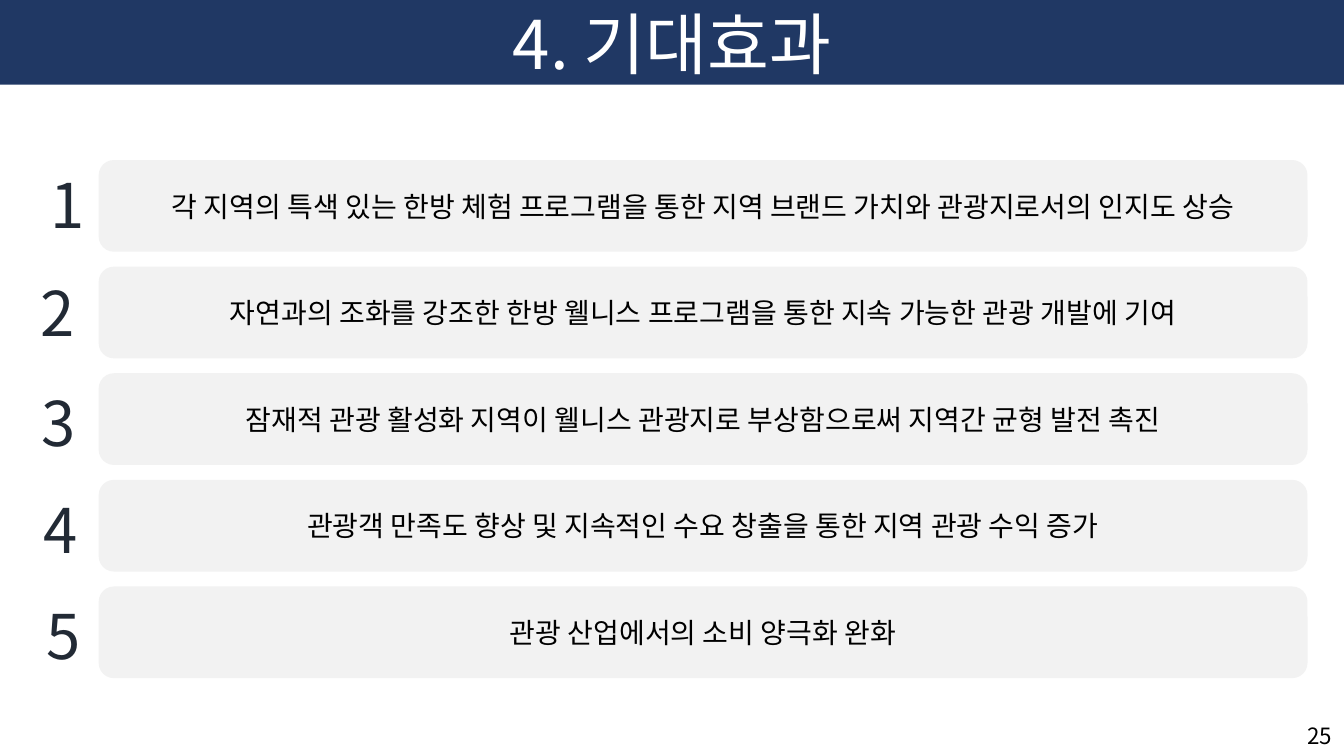
from dataclasses import dataclass

from lxml.etree import SubElement
from pptx import Presentation
from pptx.dml.color import RGBColor
from pptx.enum.shapes import MSO_SHAPE as Shape
from pptx.enum.text import MSO_ANCHOR as Anchor
from pptx.enum.text import MSO_AUTO_SIZE as Fit
from pptx.enum.text import PP_ALIGN as Align
from pptx.oxml.ns import qn
from pptx.shapes.autoshape import Shape as Auto
from pptx.slide import Slide
from pptx.util import Pt

NAVY = RGBColor(0x20, 0x38, 0x64)
SLATE = RGBColor(0x22, 0x2A, 0x35)
GREY = RGBColor(0xF2, 0xF2, 0xF2)
WHITE = RGBColor(0xFF, 0xFF, 0xFF)
BLACK = RGBColor(0, 0, 0)
FONT = "Noto Sans CJK KR"

WIDE, HIGH = 960, 540
TOP, PITCH = 114.3, 76.15
BAR_LEFT, BAR_WIDE, BAR_HIGH = 70.5, 863.5, 65.5


@dataclass(frozen=True)
class Box:
    left: float
    top: float
    width: float
    height: float

    def points(self) -> tuple[Pt, Pt, Pt, Pt]:
        return Pt(self.left), Pt(self.top), Pt(self.width), Pt(self.height)


@dataclass(frozen=True)
class Style:
    size: float
    color: RGBColor
    align: Align = Align.LEFT


@dataclass(frozen=True)
class Effect:
    text: str
    left: float  # place of the numeral
    drop: float  # numeral top below the bar top
    width: float = 41


TITLE = Style(48, WHITE, Align.CENTER)
BODY = Style(20, BLACK, Align.CENTER)
DIGIT = Style(44, SLATE)
PAGE = Style(16, BLACK)

EFFECTS = [
    Effect("각 지역의 특색 있는 한방 체험 프로그램을 통한 지역 브랜드 가치와 관광지로서의 인지도 상승",
           28.8, 1.6, 28.8),
    Effect("자연과의 조화를 강조한 한방 웰니스 프로그램을 통한 지속 가능한 관광 개발에 기여", 21.6, 2.5),
    Effect("잠재적 관광 활성화 지역이 웰니스 관광지로 부상함으로써 지역간 균형 발전 촉진", 22.3, 4.8),
    Effect("관광객 만족도 향상 및 지속적인 수요 창출을 통한 지역 관광 수익 증가", 23.8, 5),
    Effect("관광 산업에서의 소비 양극화 완화", 25.9, 4.5),
]


def write(shape: Auto, text: str, style: Style) -> None:
    para = shape.text_frame.paragraphs[0]
    para.alignment = style.align
    run = para.add_run()
    run.text = text
    looks = {"name": FONT, "size": Pt(style.size)}
    for key, value in looks.items():
        setattr(run.font, key, value)
    run.font.color.rgb = style.color
    SubElement(run.font._element, qn("a:ea"), typeface=FONT)


def label(slide: Slide, box: Box, text: str, style: Style, wrap: bool = False) -> None:
    shape = slide.shapes.add_textbox(*box.points())
    frame = {"word_wrap": wrap, "auto_size": Fit.SHAPE_TO_FIT_TEXT}
    for key, value in frame.items():
        setattr(shape.text_frame, key, value)
    write(shape, text, style)


def panel(slide: Slide, kind: Shape, box: Box, color: RGBColor) -> Auto:
    shape = slide.shapes.add_shape(kind, *box.points())
    shape.shadow.inherit = False
    shape.fill.solid()
    shape.fill.fore_color.rgb = color
    shape.line.fill.background()
    frame = {"word_wrap": True, "vertical_anchor": Anchor.MIDDLE}
    for key, value in frame.items():
        setattr(shape.text_frame, key, value)
    return shape


def main() -> None:
    deck = Presentation()
    deck.slide_width, deck.slide_height = Pt(WIDE), Pt(HIGH)
    slide = deck.slides.add_slide(deck.slide_layouts[6])

    # Header and page number
    panel(slide, Shape.RECTANGLE, Box(0, 0, WIDE, 60.5), NAVY)
    label(slide, Box(0, -2.2, WIDE, 65.5), "4. 기대효과", TITLE, wrap=True)
    label(slide, Box(926.6, 512, 32.4, 26.6), "25", PAGE)

    # Numbered effects
    for row, item in enumerate(EFFECTS):
        top = TOP + row * PITCH
        bar = panel(slide, Shape.ROUNDED_RECTANGLE,
                    Box(BAR_LEFT, top, BAR_WIDE, BAR_HIGH), GREY)
        write(bar, item.text, BODY)
        label(slide, Box(item.left, top + item.drop, item.width, 60.5),
              str(row + 1), DIGIT)

    deck.save("out.pptx")


if __name__ == "__main__":
    main()
